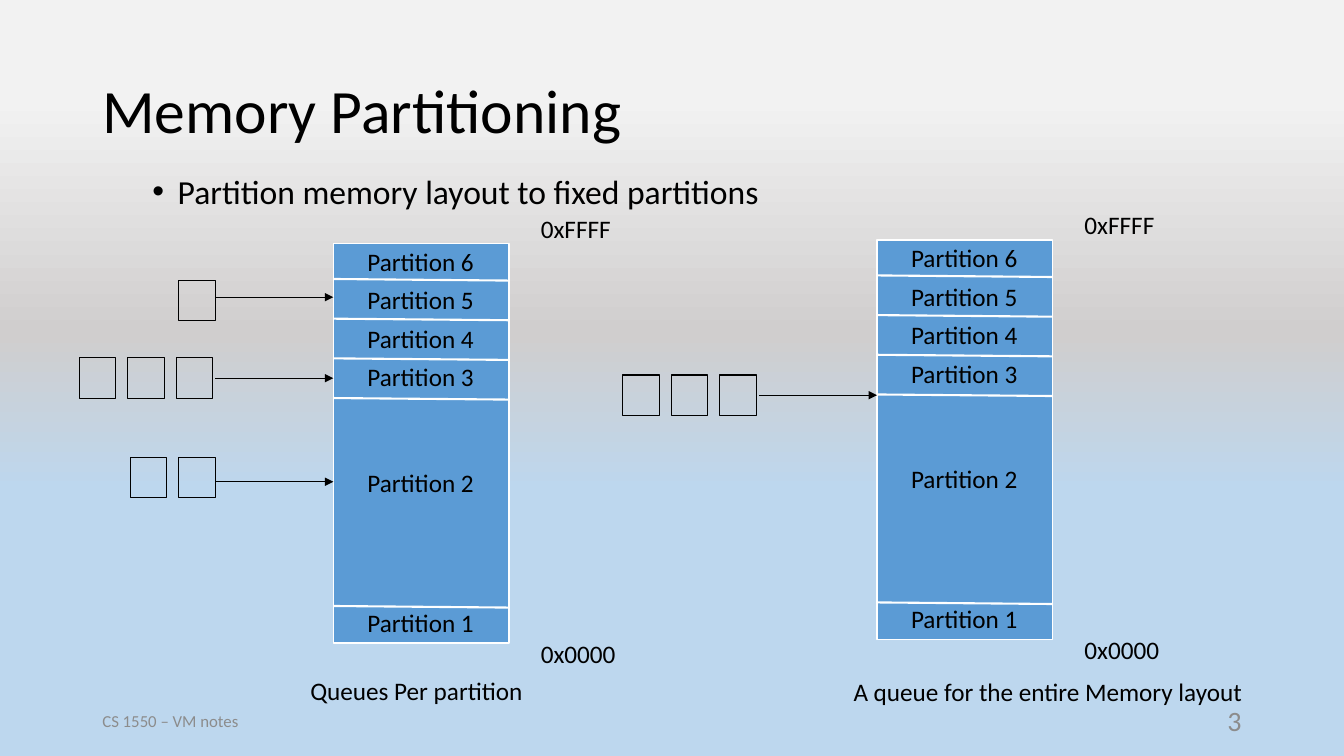
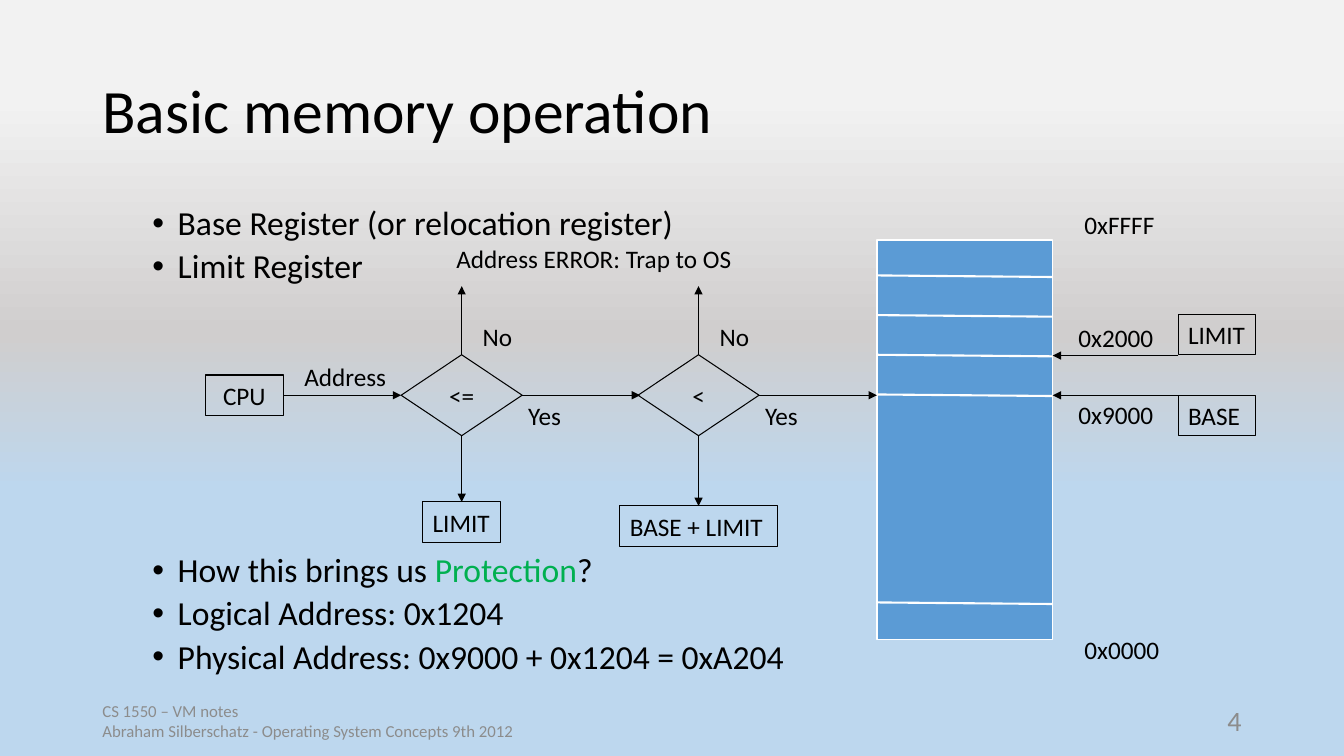
from lxml import etree
from pptx import Presentation
from pptx.dml.color import RGBColor
from pptx.enum.shapes import MSO_CONNECTOR, MSO_SHAPE
from pptx.enum.text import MSO_ANCHOR, MSO_AUTO_SIZE, PP_ALIGN
from pptx.oxml.ns import qn
from pptx.util import Cm, Pt

RECT, DECISION = MSO_SHAPE.RECTANGLE, MSO_SHAPE.FLOWCHART_DECISION
STRAIGHT = MSO_CONNECTOR.STRAIGHT
LEFT, CENTER, RIGHT = PP_ALIGN.LEFT, PP_ALIGN.CENTER, PP_ALIGN.RIGHT
TOP, MIDDLE = MSO_ANCHOR.TOP, MSO_ANCHOR.MIDDLE
GROW = MSO_AUTO_SIZE.SHAPE_TO_FIT_TEXT

BLACK = RGBColor(0x00, 0x00, 0x00)
WHITE = RGBColor(0xFF, 0xFF, 0xFF)
GRAY = RGBColor(0x8C, 0x8C, 0x8C)
BLUE = RGBColor(0x5B, 0x9B, 0xD5)
GREEN = RGBColor(0x00, 0xB0, 0x50)
SKY = RGBColor(0xBD, 0xD7, 0xEE)
BACKDROP = [(13, RGBColor(0xF2, 0xF2, 0xF2)), (44, RGBColor(0xD0, 0xCE, 0xCE)),
            (65, SKY), (80, SKY)]

FONT = "Calibri"
MARGIN, CONTENT_W = 2.33, 29.21
ROW = 1.02
BOX_W = 1.96
MEMORY_W, MEMORY_H = 4.43, 10.06
DIVIDERS = [0.89 + i for i in range(4)] + [9.13]
LABEL_TOPS = [-0.06 + 0.97 * i for i in range(4)] + [5.5, 9.03]
ARROW = 2.97
QUEUE_W, QUEUE_STEP = 0.92, 1.22
DECISION_W, DECISION_H = 3.05, 2.04


def paint_backdrop(master):
    """Give the master a vertical gradient that every slide inherits."""
    fill = master.background.fill
    fill.gradient()
    fill.gradient_angle = 270
    stops = master.element.find(".//" + qn("a:gsLst"))
    for stop in list(stops):
        stops.remove(stop)
    for percent, color in BACKDROP:
        stop = etree.SubElement(stops, qn("a:gs"), pos=str(percent * 1000))
        etree.SubElement(stop, qn("a:srgbClr"), val=str(color))


def write(tf, text, size=18, color=BLACK, accent=GREEN, align=LEFT, anchor=TOP,
          wrap=True, spacing=None, before=None):
    """Fill a text frame, one paragraph a line, with *starred* words in accent."""
    tf.word_wrap = wrap
    tf.vertical_anchor = anchor
    for i, line in enumerate(text.split("\n")):
        p = tf.paragraphs[0] if i == 0 else tf.add_paragraph()
        p.alignment = align
        if spacing:
            p.line_spacing = spacing
        if before is not None:
            p.space_before = Pt(before)
        for j, part in enumerate(line.split("*")):
            if part:
                r = p.add_run()
                r.text = part
                r.font.name = FONT
                r.font.size = Pt(size)
                r.font.color.rgb = accent if j % 2 else color
    return tf


def text_box(s, x, y, w, h, text, **fmt):
    """Add a text box at the given centimetres."""
    sp = s.shapes.add_textbox(Cm(x), Cm(y), Cm(w), Cm(h))
    return write(sp.text_frame, text, **fmt)


def label(s, x, y, w, text):
    """Add a one-line label that does not wrap."""
    text_box(s, x, y, w, ROW, text, wrap=False).auto_size = GROW


def box(s, x, y, w, h=ROW, text="", kind=RECT, fill=None, line=BLACK,
        weight=0.75, **fmt):
    """Add an outlined shape, with a fill and text if given."""
    sp = s.shapes.add_shape(kind, Cm(x), Cm(y), Cm(w), Cm(h))
    sp.shadow.inherit = False
    if fill is None:
        sp.fill.background()
    else:
        sp.fill.solid()
        sp.fill.fore_color.rgb = fill
    sp.line.color.rgb = line
    sp.line.width = Pt(weight)
    if text:
        write(sp.text_frame, text, anchor=MIDDLE, **fmt)


def line(s, x1, y1, x2, y2, color=BLACK, weight=0.5, arrow=True):
    """Draw a straight line, by default with an arrowhead at its end."""
    c = s.shapes.add_connector(STRAIGHT, Cm(x1), Cm(y1), Cm(x2), Cm(y2))
    c.line.color.rgb = color
    c.line.width = Pt(weight)
    if arrow:
        etree.SubElement(c.line._get_or_add_ln(), qn("a:tailEnd"), type="triangle")
    etree.SubElement(c._element.spPr, qn("a:effectLst"))


def bullets(s, y, h, text):
    """Add the bulleted body text."""
    tf = text_box(s, MARGIN, y, CONTENT_W, h, text, size=24, spacing=0.9, before=5)
    for p in tf.paragraphs:
        pPr = p._p.get_or_add_pPr()
        pPr.set("marL", str(Cm(1.9)))
        pPr.set("indent", str(Cm(-0.64)))
        etree.SubElement(pPr, qn("a:buFont"), typeface="Arial")
        etree.SubElement(pPr, qn("a:buChar"), char="•")
    return tf


def new_slide(prs, title, footer, number):
    """Add a slide with its title, footer and number."""
    s = prs.slides.add_slide(prs.slide_layouts[6])
    text_box(s, MARGIN, 1.01, CONTENT_W, 3.68, title, size=44, anchor=MIDDLE,
             spacing=0.9)
    text_box(s, MARGIN, 17.65, 20.32, ROW, footer, size=12, color=GRAY,
             anchor=MIDDLE)
    text_box(s, 23.92, 17.65, 7.62, ROW, str(number), size=20, color=GRAY,
             align=RIGHT, anchor=MIDDLE)
    return s


def memory(s, x, y, named=True):
    """Draw the partitioned memory column with its end addresses."""
    box(s, x, y, MEMORY_W, MEMORY_H, fill=BLUE, line=WHITE, weight=1)
    for dy in DIVIDERS:
        line(s, x, y + dy, x + MEMORY_W, y + dy + 0.04, color=WHITE, weight=1.5,
             arrow=False)
    label(s, x + 4.98, y + 9.82, 2.4, "0x0000")
    label(s, x + 4.98, y - 0.89, 2.29, "0xFFFF")
    if named:
        for i, dy in enumerate(LABEL_TOPS):
            label(s, x + 0.61, y + dy, 3.22, f"Partition {6 - i}")


def queue(s, memory_x, y, count, gap=0, arrow_dy=0.51):
    """Draw waiting processes, right to left, and their arrow into memory."""
    start = memory_x - ARROW
    for i in range(count):
        box(s, start - gap - QUEUE_W - i * QUEUE_STEP, y, QUEUE_W)
    line(s, start, y + arrow_dy, memory_x, y + arrow_dy)


def registers(s, x):
    """Draw the limit and base registers that point into the column at x."""
    rows = [("LIMIT", 7.92, 8.96, "0x2000", 8.0, False),
            ("BASE", 9.96, 9.96, "0x9000", 9.93, True)]
    for name, y, arrow_y, address, address_y, wrap in rows:
        label(s, x + 4.83, address_y, 2.4, address)
        box(s, x + 7.59, y, BOX_W, text=name, wrap=wrap)
        line(s, x + 7.59, arrow_y, x + MEMORY_W, arrow_y)


def address_check(s, x, axis):
    """Draw the flow from the CPU through both comparisons along the axis."""
    box(s, x, axis - ROW / 2, BOX_W, text="CPU", align=CENTER)
    line(s, x + BOX_W, axis, x + BOX_W + ARROW, axis)
    label(s, x + 2.24, axis - 0.97, 2.59, "Address")
    label(s, x + 6.07, axis - 3.96, 7.52, "Address ERROR: Trap to OS")
    checks = [("<=", "LIMIT", BOX_W, 2.69, False),
              ("<", "BASE + LIMIT", 3.96, 2.79, True)]
    for i, (test, operand, w, drop, wrap) in enumerate(checks):
        left = x + BOX_W + ARROW + i * (DECISION_W + ARROW - 0.05)
        mid, right = left + DECISION_W / 2, left + DECISION_W
        top, bottom = axis - DECISION_H / 2, axis + DECISION_H / 2
        box(s, left, top, DECISION_W, DECISION_H, text=test, kind=DECISION,
            align=CENTER)
        line(s, mid, top, mid, axis - 2.75)
        label(s, mid + 0.28, axis - 1.98, 1.27, "No")
        line(s, mid, bottom, mid, axis + drop)
        box(s, mid - w / 2, axis + drop, w, text=operand, wrap=wrap)
        line(s, right, axis, right + ARROW, axis)
        label(s, right - 0.1, axis, 1.35, "Yes")


def partitioning_slide(prs):
    """Build the slide that compares the two queue layouts."""
    s = new_slide(prs, "Memory Partitioning", "CS 1550 – VM notes", 3)
    bullets(s, 4.29, 12.88, "Partition memory layout to fixed partitions")
    own, shared = 8.4, 22.1
    memory(s, own, 6.14)
    queue(s, own, 7.06, 1, arrow_dy=0.43)
    queue(s, own, 9.02, 3, gap=0.07)
    queue(s, own, 11.53, 2, arrow_dy=0.61)
    label(s, own - 0.83, 16.89, 5.9, "Queues Per partition")
    memory(s, shared, 6.05)
    queue(s, shared, 9.45, 3, gap=0.07)
    label(s, shared - 0.84, 16.92, 10.72, "A queue for the entire Memory layout")


def operation_slide(prs):
    """Build the slide on checking an address against base and limit."""
    s = new_slide(prs, "Basic memory operation", "CS 1550 – VM notes\n"
                  "Abraham Silberschatz - Operating System Concepts 9th 2012", 4)
    tf = bullets(s, 5.08, 12.09, "Base Register (or relocation register)\n"
                 "Limit Register\n"
                 "How this brings us *Protection*?\n"
                 "Logical Address: 0x1204\n"
                 "Physical Address: 0x9000 + 0x1204 = 0xA204")
    tf.paragraphs[2].space_before = Pt(191)
    memory(s, 22.1, 6.05, named=False)
    registers(s, 22.1)
    address_check(s, 5.18, 9.96)


def main():
    """Build and save the presentation."""
    prs = Presentation()
    prs.slide_width, prs.slide_height = Cm(33.87), Cm(19.05)
    paint_backdrop(prs.slide_master)
    partitioning_slide(prs)
    operation_slide(prs)
    prs.save("out.pptx")


main()
